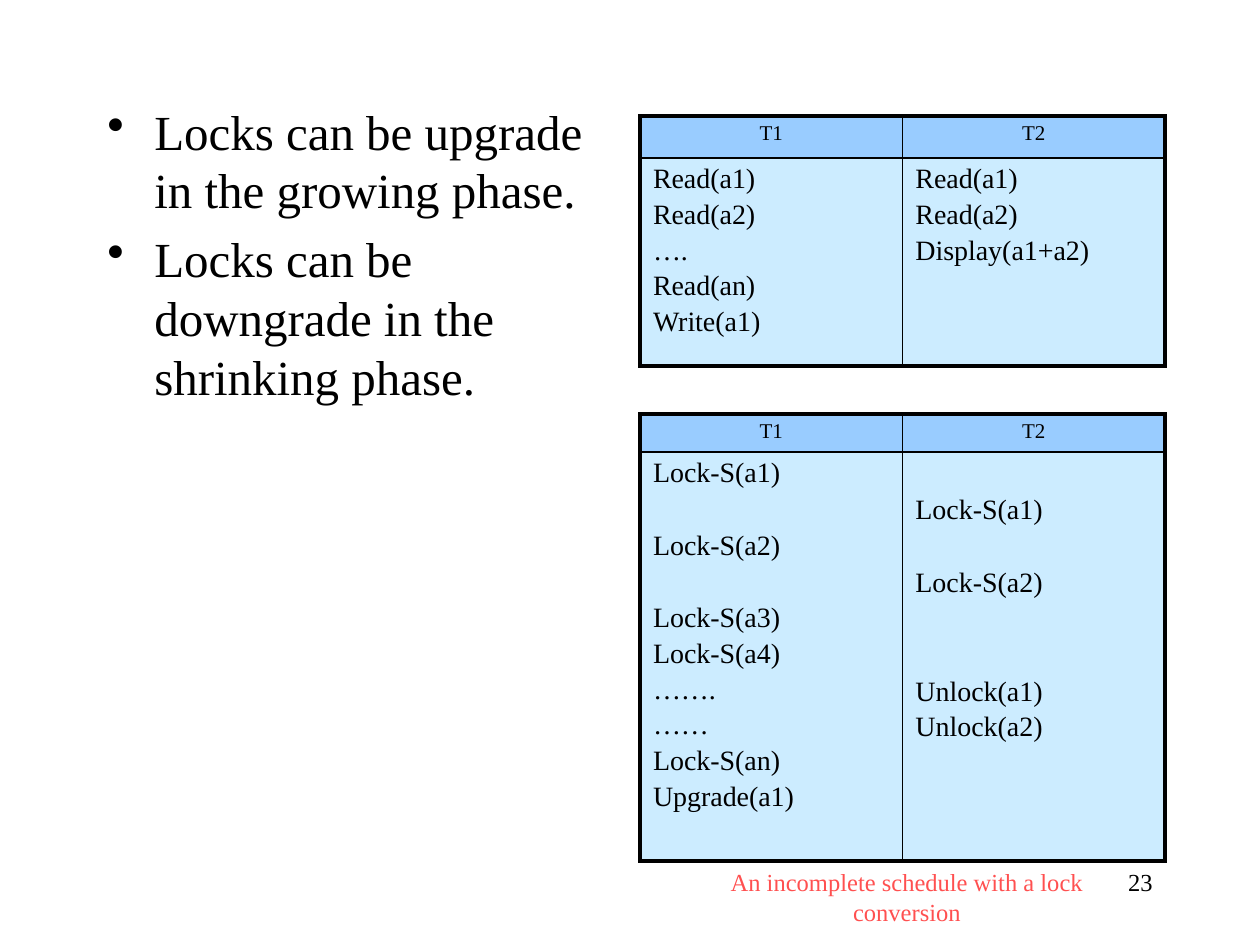
"""Build a slide on lock conversion with two schedule tables."""
from lxml import etree
from pptx import Presentation
from pptx.dml.color import RGBColor
from pptx.enum.text import PP_ALIGN
from pptx.oxml.ns import qn
from pptx.util import Emu, Pt

LEFT, CENTER, RIGHT = PP_ALIGN.LEFT, PP_ALIGN.CENTER, PP_ALIGN.RIGHT
PX_PER_INCH = 126
FONT = "Times New Roman"
COLORS = {"text": "000000", "caption": "FF5050", "border": "000000",
          "header": "99CCFF", "body": "CCECFF"}
LINE_PT, GAP_PT = 21, 2.6
INSET_X, INSET_Y = 13, 6
THICK, THIN = 2.25, 1

BULLETS = ["Locks can be upgrade in the growing phase.",
           "Locks can be downgrade in the shrinking phase."]
# Each step is (row in the schedule, operation).
READS = [
    [(0, "Read(a1)"), (1, "Read(a2)"), (2, "…."), (3, "Read(an)"), (4, "Write(a1)")],
    [(0, "Read(a1)"), (1, "Read(a2)"), (2, "Display(a1+a2)")],
]
LOCKS = [
    [(0, "Lock-S(a1)"), (2, "Lock-S(a2)"), (4, "Lock-S(a3)"), (5, "Lock-S(a4)"),
     (6, "……."), (7, "……"), (8, "Lock-S(an)"), (9, "Upgrade(a1)")],
    [(1, "Lock-S(a1)"), (3, "Lock-S(a2)"), (6, "Unlock(a1)"), (7, "Unlock(a2)")],
]


def px(n):
    """Turn pixels into EMU."""
    return Emu(round(n * 914400 / PX_PER_INCH))


def write(tf, lines, size, color="text", align=LEFT):
    """Fill a text frame with one formatted paragraph per line."""
    tf.text = "\n".join(lines)
    for p in tf.paragraphs:
        p.alignment = align
        for r in p.runs:
            r.font.size = Pt(size)
            r.font.name = FONT
            r.font.bold = False
            r.font.color.rgb = RGBColor.from_string(COLORS[color])


def add_text(s, box, lines, size, **style):
    """Add a wrapping text box and return its text frame."""
    tf = s.shapes.add_textbox(*map(px, box)).text_frame
    tf.word_wrap = True
    write(tf, lines, size, **style)
    return tf


def add_bullets(s, box, lines, size):
    """Add a bulleted list with hanging indents."""
    for p in add_text(s, box, lines, size).paragraphs:
        p.space_before = Pt(size * 0.2)
        pPr = p._p.get_or_add_pPr()
        pPr.set("marL", str(px(47)))
        pPr.set("indent", str(-px(47)))
        etree.SubElement(pPr, qn("a:buChar")).set("char", "•")


def set_borders(cell, row, col):
    """Draw thick outer and thin inner borders around a cell."""
    outer = {"L": col == 0, "R": col == 1, "T": row == 0, "B": row == 1}
    tcPr = cell._tc.get_or_add_tcPr()
    for side, is_outer in outer.items():
        ln = etree.SubElement(tcPr, qn(f"a:ln{side}"))
        ln.set("w", str(Pt(THICK if is_outer else THIN)))
        fill = etree.SubElement(ln, qn("a:solidFill"))
        etree.SubElement(fill, qn("a:srgbClr")).set("val", COLORS["border"])


def write_steps(cell, steps):
    """Write operations at their schedule rows, spacing over skipped rows."""
    write(cell.text_frame, [name for _, name in steps], 16)
    first = steps[0][0]
    cell.margin_top = px(INSET_Y) + Pt(first * LINE_PT)
    previous = first - 1
    for p, (row, _) in zip(cell.text_frame.paragraphs, steps):
        p.space_before = Pt(GAP_PT + (row - previous - 1) * LINE_PT)
        previous = row


def add_schedule(s, top, heights, transactions):
    """Add a two-column table with one transaction per column."""
    frame = s.shapes.add_table(2, 2, px(640), px(top), px(525), px(sum(heights)))
    table = frame.table
    table.first_row = table.horz_banding = False
    for row, height in enumerate(heights):
        table.rows[row].height = px(height)
        for col, steps in enumerate(transactions):
            cell = table.cell(row, col)
            cell.margin_left = cell.margin_right = px(INSET_X)
            cell.margin_top = cell.margin_bottom = px(INSET_Y)
            set_borders(cell, row, col)
            cell.fill.solid()
            fill = COLORS["body" if row else "header"]
            cell.fill.fore_color.rgb = RGBColor.from_string(fill)
            if row:
                write_steps(cell, steps)
            else:
                write(cell.text_frame, [f"T{col + 1}"], 12, align=CENTER)


def main():
    """Build and save the slide."""
    prs = Presentation()
    prs.slide_width, prs.slide_height = px(1260), px(945)
    s = prs.slides.add_slide(prs.slide_layouts[6])
    add_text(s, (903, 861, 262, 63), ["23"], 14, align=RIGHT)
    add_bullets(s, (95, 95, 525, 630), BULLETS, 28)
    add_schedule(s, 116, (42, 208), READS)
    add_schedule(s, 414, (38, 409), LOCKS)
    add_text(s, (664, 861, 486, 42), ["An incomplete schedule with a lock conversion"],
             14, color="caption", align=CENTER)
    prs.save("out.pptx")


if __name__ == "__main__":
    main()
